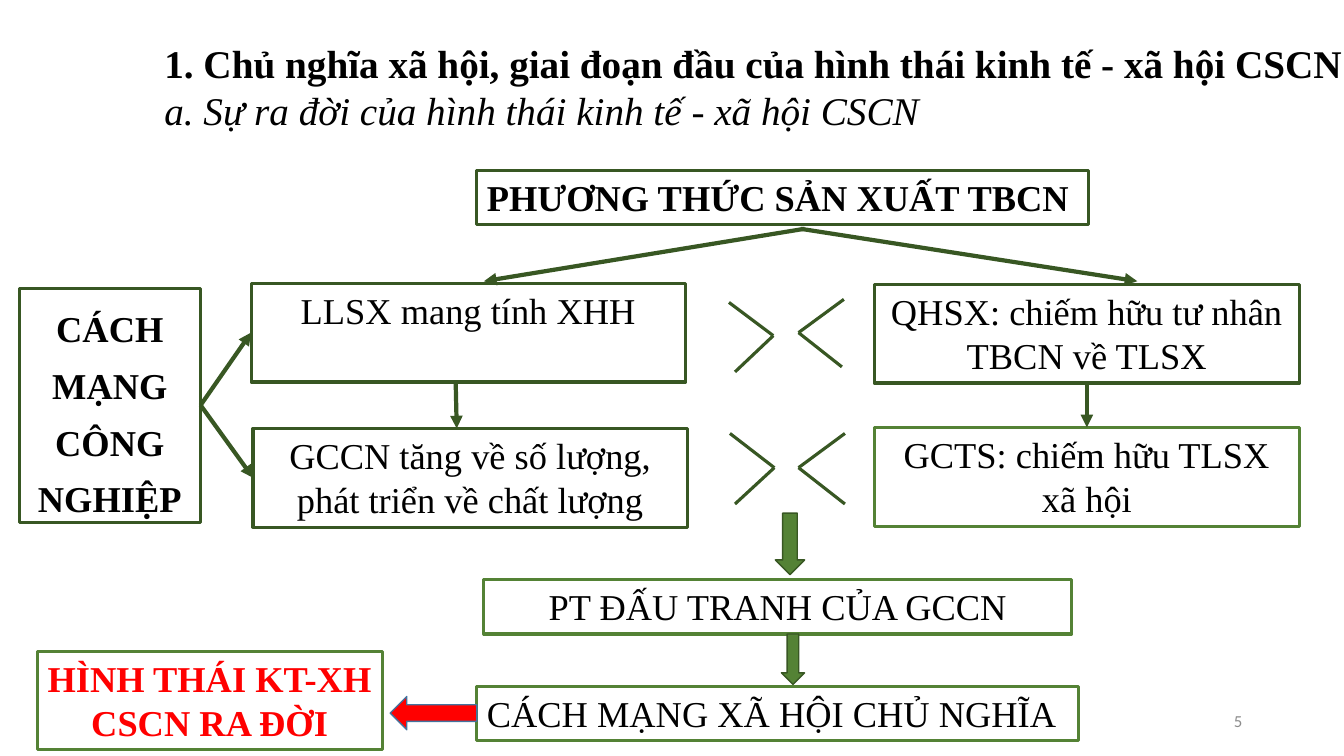
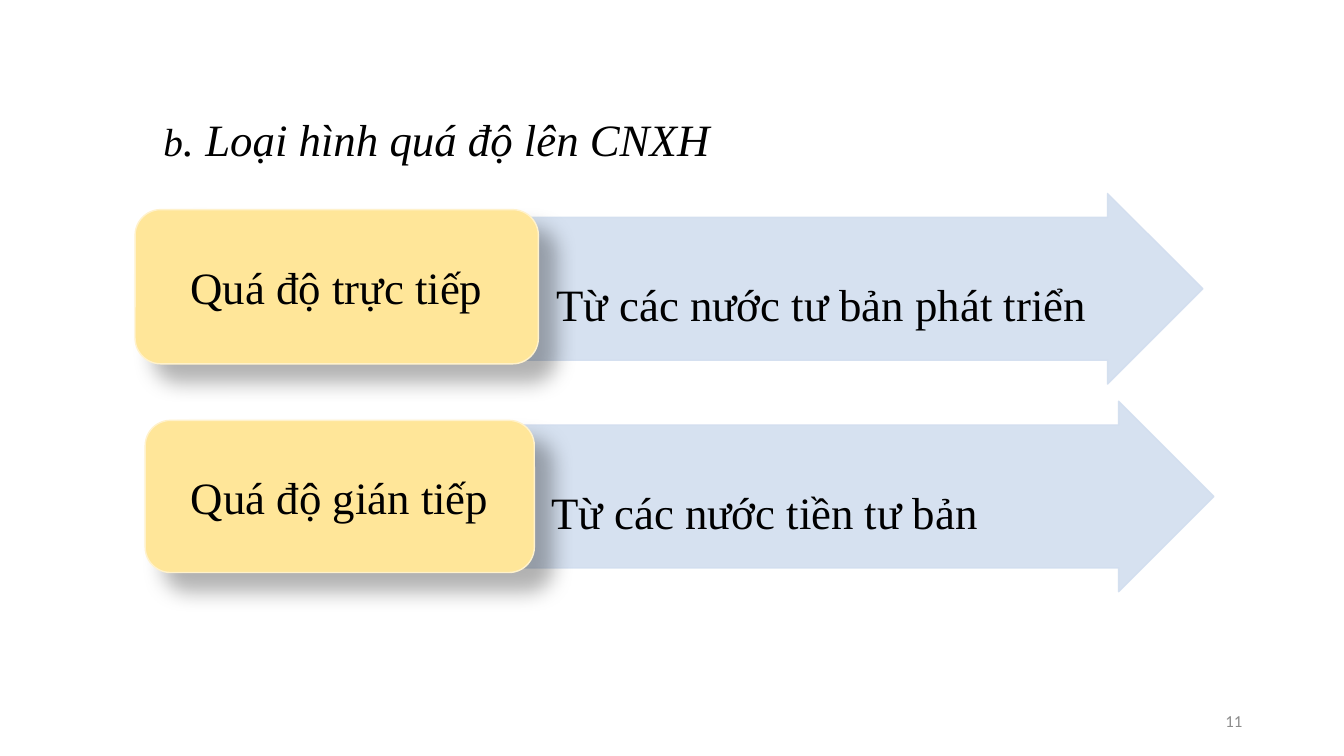
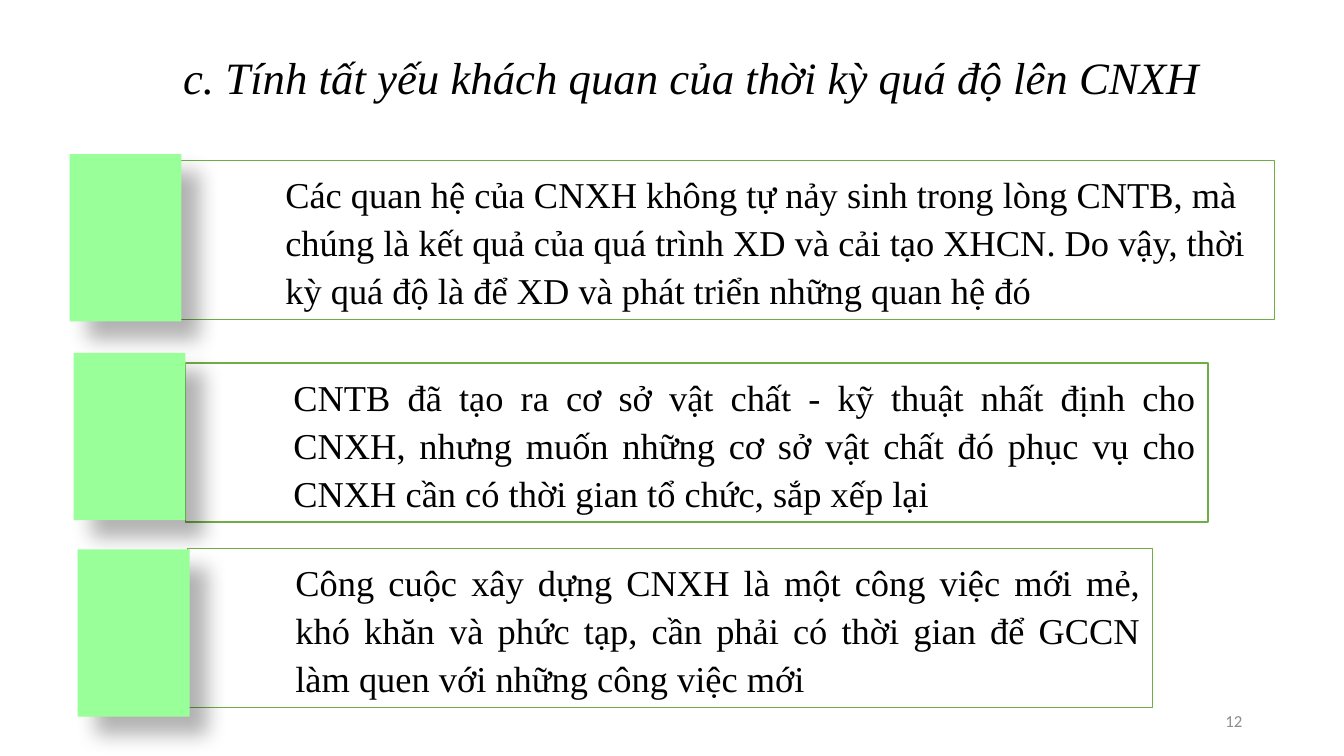
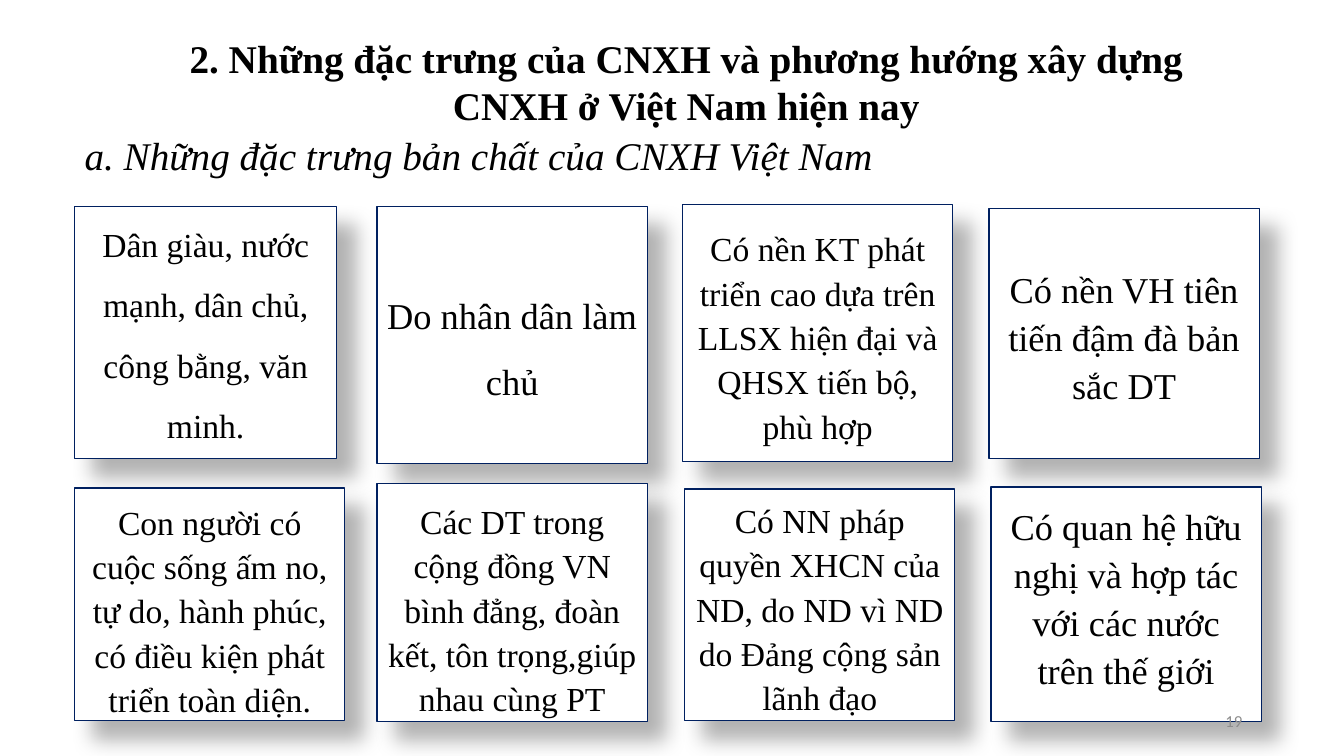
from dataclasses import dataclass, replace
from typing import NamedTuple, Optional

from lxml import etree
from pptx import Presentation
from pptx.dml.color import RGBColor
from pptx.enum.shapes import MSO_CONNECTOR, MSO_SHAPE
from pptx.enum.text import MSO_ANCHOR, MSO_AUTO_SIZE, PP_ALIGN
from pptx.oxml.ns import qn
from pptx.util import Emu, Pt

# Enum members
LEFT, CENTER, RIGHT, JUSTIFY = PP_ALIGN.LEFT, PP_ALIGN.CENTER, PP_ALIGN.RIGHT, PP_ALIGN.JUSTIFY
TOP, MIDDLE = MSO_ANCHOR.TOP, MSO_ANCHOR.MIDDLE
RECTANGLE, ROUNDED = MSO_SHAPE.RECTANGLE, MSO_SHAPE.ROUNDED_RECTANGLE
DOWN_ARROW, LEFT_ARROW, RIGHT_ARROW = (
    MSO_SHAPE.DOWN_ARROW, MSO_SHAPE.LEFT_ARROW, MSO_SHAPE.RIGHT_ARROW)
STRAIGHT = MSO_CONNECTOR.STRAIGHT
NO_AUTOFIT = MSO_AUTO_SIZE.NONE

# Scale: 100 px to the inch
EMU_PER_PX = 9144
SLIDE_SIZE = (1333, 750)
TITLE_ONLY = 5

# Colours
BLACK, WHITE, RED, GREY = "000000", "FFFFFF", "FF0000", "8C8C8C"
DARK_GREEN, GREEN = "385723", "548235"
STEEL_BLUE, PALE_BLUE, NAVY = "43739E", "D2DEEF", "002060"
YELLOW, CREAM = "FFE699", "FFF2CC"
MINT, LEAF = "99FF99", "70AD47"


class Box(NamedTuple):
    left: int
    top: int
    width: int
    height: int


class Margins(NamedTuple):
    left: int = 10
    top: int = 5
    right: int = 10
    bottom: int = 5


class Point(NamedTuple):
    x: int
    y: int


@dataclass(frozen=True)
class TextStyle:
    size: int
    bold: bool = False
    italic: bool = False
    align: PP_ALIGN = CENTER
    spacing: float = 1.0
    color: str = BLACK
    font: str = "Times New Roman"


@dataclass(frozen=True)
class ShapeStyle:
    fill: str
    line: Optional[str] = None
    line_width: float = 1
    shadow: bool = False
    alpha: int = 100


@dataclass(frozen=True)
class Label:
    box: Box
    text: str
    style: TextStyle
    line: str = DARK_GREEN


@dataclass(frozen=True)
class Transition:
    arrow: Box
    arrow_text: str
    tag: Box
    tag_text: str


@dataclass(frozen=True)
class Reason:
    panel: Box
    square: Box
    text: str
    align: PP_ALIGN = JUSTIFY


@dataclass(frozen=True)
class Card:
    box: Box
    text: str
    size: int = 24
    spacing: float = 1.1
    shift: int = 0  # how far the text sits below the middle


# Shared text styles
HEADING = TextStyle(28, bold=True, align=LEFT)
SUBHEADING = TextStyle(28, italic=True, align=LEFT)
LARGE_SUBHEADING = replace(SUBHEADING, size=32)
BODY = TextStyle(26)
STRONG = replace(BODY, bold=True)
LARGE = TextStyle(32)
PAGE_NUMBER = TextStyle(12, align=RIGHT, color=GREY, font="Calibri")


# Helpers
def px(value: int) -> Emu:
    return Emu(value * EMU_PER_PX)


def rgb(color: str) -> RGBColor:
    return RGBColor.from_string(color)


def format_paragraph(paragraph, style: TextStyle) -> None:
    paragraph.alignment = style.align
    paragraph.line_spacing = style.spacing
    paragraph.space_before = Pt(0)
    font = paragraph.font
    font.name, font.size = style.font, Pt(style.size)
    font.bold, font.italic = style.bold, style.italic
    font.color.rgb = rgb(style.color)


def write_text(shape, lines: list[tuple[str, TextStyle]], anchor=MIDDLE,
               margins: Margins = Margins()) -> None:
    frame = shape.text_frame
    frame.word_wrap = True
    frame.auto_size = NO_AUTOFIT
    frame.vertical_anchor = anchor
    frame.margin_left, frame.margin_top = px(margins.left), px(margins.top)
    frame.margin_right, frame.margin_bottom = px(margins.right), px(margins.bottom)
    for index, (text, style) in enumerate(lines):
        paragraph = frame.add_paragraph() if index else frame.paragraphs[0]
        paragraph.text = text
        format_paragraph(paragraph, style)


def add_title(slide, box: Box, lines: list[tuple[str, TextStyle]]):
    title = slide.shapes.title
    title.left, title.top, title.width, title.height = map(px, box)
    write_text(title, lines)
    return title


def add_text(slide, box: Box, text: str, style: TextStyle) -> None:
    write_text(slide.shapes.add_textbox(*map(px, box)), [(text, style)])


def add_page_number(slide, number: int) -> None:
    add_text(slide, Box(942, 695, 300, 40), str(number), PAGE_NUMBER)


def add_shadow(shape) -> None:
    effects = shape.element.spPr.find(qn("a:effectLst"))
    shadow = etree.SubElement(effects, qn("a:outerShdw"), blurRad=str(Pt(15)),
                              dist=str(Pt(18)), dir="2700000", rotWithShape="0")
    color = etree.SubElement(shadow, qn("a:srgbClr"), val=BLACK)
    etree.SubElement(color, qn("a:alpha"), val="30000")


def add_shape(slide, kind, box: Box, style: ShapeStyle):
    shape = slide.shapes.add_shape(kind, *map(px, box))
    shape.shadow.inherit = False
    shape.fill.solid()
    shape.fill.fore_color.rgb = rgb(style.fill)
    if style.line:
        shape.line.color.rgb = rgb(style.line)
        shape.line.width = Pt(style.line_width)
    else:
        shape.line.fill.background()
    if style.shadow:
        add_shadow(shape)
    if style.alpha < 100:
        for color in shape.element.spPr.iter(qn("a:srgbClr")):
            etree.SubElement(color, qn("a:alpha"), val=str(style.alpha * 1000))
    return shape


def add_line(slide, start: Point, end: Point, width: float = 2.25, arrow: bool = False):
    line = slide.shapes.add_connector(STRAIGHT, *map(px, (*start, *end)))
    line.line.color.rgb = rgb(DARK_GREEN)
    line.line.width = Pt(width)
    if arrow:
        etree.SubElement(line.line._get_or_add_ln(), qn("a:tailEnd"), type="triangle")
    etree.SubElement(line.element.spPr, qn("a:effectLst"))
    return line


def join(slide, source, source_side: int, target, target_side: int) -> None:
    line = add_line(slide, Point(0, 0), Point(0, 0), 3, arrow=True)
    line.begin_connect(source, source_side)
    line.end_connect(target, target_side)


# Slide 1: how the formation came about
def build_origin(slide) -> None:
    add_title(slide, Box(153, 31, 1246, 110), [
        ("1. Chủ nghĩa xã hội, giai đoạn đầu của hình thái kinh tế - xã hội CSCN", HEADING),
        ("a. Sự ra đời của hình thái kinh tế - xã hội CSCN", SUBHEADING),
    ])
    labels = {
        "mode": Label(Box(473, 169, 607, 54), "PHƯƠNG THỨC SẢN XUẤT TBCN",
                      replace(STRONG, align=LEFT)),
        "industry": Label(Box(19, 286, 180, 232), "CÁCH MẠNG CÔNG NGHIỆP",
                          replace(STRONG, spacing=1.3)),
        "forces": Label(Box(249, 281, 431, 98), "LLSX mang tính XHH", BODY),
        "relations": Label(Box(867, 282, 422, 98),
                           "QHSX: chiếm hữu tư nhân TBCN về TLSX", BODY),
        "workers": Label(Box(251, 425, 431, 98),
                         "GCCN tăng về số lượng, phát triển về chất lượng", BODY),
        "owners": Label(Box(867, 424, 422, 98), "GCTS: chiếm hữu TLSX xã hội", BODY, GREEN),
        "revolution": Label(Box(473, 681, 597, 54), "CÁCH MẠNG XÃ HỘI CHỦ NGHĨA",
                            replace(BODY, align=LEFT), GREEN),
        "struggle": Label(Box(480, 575, 583, 54), "PT ĐẤU TRANH CỦA GCCN", BODY, GREEN),
        "formation": Label(Box(37, 646, 342, 98), "HÌNH THÁI KT-XH CSCN RA ĐỜI",
                           replace(STRONG, color=RED), GREEN),
    }
    shapes = {}
    for name, label in labels.items():
        shape = add_shape(slide, RECTANGLE, label.box, ShapeStyle(WHITE, label.line, 2.25))
        write_text(shape, [(label.text, label.style)], TOP)
        shapes[name] = shape

    # Thin arrows
    for start, end in (
        (Point(798, 227), Point(480, 279)),
        (Point(794, 227), Point(1128, 279)),
        (Point(452, 380), Point(453, 425)),
    ):
        add_line(slide, start, end, 3, arrow=True)
    join(slide, shapes["relations"], 2, shapes["owners"], 0)
    for name in ("forces", "workers"):
        join(slide, shapes["industry"], 3, shapes[name], 1)

    # Pairs of opposed chevrons
    for upper, tip, lower in (
        (Point(723, 300), Point(767, 333), Point(729, 369)),
        (Point(837, 297), Point(792, 330), Point(835, 364)),
        (Point(724, 430), Point(768, 464), Point(729, 500)),
        (Point(838, 430), Point(792, 464), Point(838, 500)),
    ):
        add_line(slide, upper, tip)
        add_line(slide, tip, lower)

    # Block arrows
    green_arrow = ShapeStyle(GREEN, DARK_GREEN)
    add_shape(slide, DOWN_ARROW, Box(769, 509, 29, 61), green_arrow)
    add_shape(slide, DOWN_ARROW, Box(775, 629, 23, 50), green_arrow)
    add_shape(slide, LEFT_ARROW, Box(387, 691, 86, 33), ShapeStyle(RED, STEEL_BLUE))


# Slide 2: kinds of transition
def build_transitions(slide) -> None:
    title = add_title(slide, Box(152, 100, 1150, 74), [("b", LARGE_SUBHEADING)])
    paragraph = title.text_frame.paragraphs[0]
    paragraph.runs[0].font.size = Pt(28)
    paragraph.add_run().text = ". Loại hình quá độ lên CNXH"

    arrow_style = ShapeStyle(PALE_BLUE, PALE_BLUE, alpha=90)
    tag_style = ShapeStyle(YELLOW, CREAM, shadow=True)
    for transition in (
        Transition(Box(519, 192, 674, 189), "Từ các nước tư bản phát triển",
                   Box(134, 208, 400, 153), "Quá độ trực tiếp"),
        Transition(Box(514, 398, 690, 189), "Từ các nước tiền tư bản",
                   Box(144, 417, 386, 151), "Quá độ gián tiếp"),
    ):
        arrow = add_shape(slide, RIGHT_ARROW, transition.arrow, arrow_style)
        arrow.adjustments[0] = 0.75
        write_text(arrow, [(transition.arrow_text, replace(LARGE, align=LEFT))],
                   margins=Margins(33, 30, 2, 0))
        tag = add_shape(slide, ROUNDED, transition.tag, tag_style)
        write_text(tag, [(transition.tag_text, LARGE)])


# Slide 3: why the transition is necessary
def build_reasons(slide) -> None:
    add_title(slide, Box(111, 38, 1150, 75), [
        ("c. Tính tất yếu khách quan của thời kỳ quá độ lên CNXH",
         replace(LARGE_SUBHEADING, align=CENTER)),
    ])
    for reason in (
        Reason(Box(176, 159, 1088, 158), Box(69, 153, 111, 166),
               "Các quan hệ của CNXH không tự nảy sinh trong lòng CNTB, mà chúng là kết quả "
               "của quá trình XD và cải tạo XHCN. Do vậy, thời kỳ quá độ là để XD và phát "
               "triển những quan hệ đó", LEFT),
        Reason(Box(184, 360, 1014, 158), Box(73, 350, 111, 166),
               "CNTB đã tạo ra cơ sở vật chất - kỹ thuật nhất định cho CNXH, nhưng muốn "
               "những cơ sở vật chất đó phục vụ cho CNXH cần có thời gian tổ chức, sắp xếp lại"),
        Reason(Box(186, 544, 957, 158), Box(77, 545, 111, 166),
               "Công cuộc xây dựng CNXH là một công việc mới mẻ, khó khăn và phức tạp, cần "
               "phải có thời gian để GCCN làm quen với những công việc mới"),
    ):
        panel = add_shape(slide, RECTANGLE, reason.panel, ShapeStyle(WHITE, LEAF))
        write_text(panel, [(reason.text, replace(BODY, align=reason.align, spacing=1.1))],
                   margins=Margins(107, 11, 11, 11))
        add_shape(slide, RECTANGLE, reason.square, ShapeStyle(MINT, shadow=True))


# Slide 4: eight features
def build_features(slide) -> None:
    add_title(slide, Box(122, 2, 1117, 158), [
        ("2. Những đặc trưng của CNXH và phương hướng xây dựng CNXH ở Việt Nam hiện nay",
         replace(HEADING, align=CENTER)),
    ])
    add_text(slide, Box(74, 129, 1150, 50),
             "a. Những đặc trưng bản chất của CNXH Việt Nam", SUBHEADING)
    for card in (
        Card(Box(74, 205, 260, 250), "Dân giàu, nước mạnh, dân chủ, công bằng, văn minh.",
             spacing=1.5, shift=-8),
        Card(Box(374, 205, 268, 255), "Do nhân dân làm chủ", 26, 1.5, 2),
        Card(Box(677, 203, 268, 255),
             "Có nền KT phát triển cao dựa trên LLSX hiện đại và QHSX tiến bộ, phù hợp", shift=2),
        Card(Box(981, 207, 268, 248), "Có nền VH tiên tiến đậm đà bản sắc DT", 26, shift=1),
        Card(Box(74, 484, 268, 231),
             "Con người có cuộc sống ấm no, tự do, hành phúc, có điều kiện phát triển "
             "toàn diện.", shift=4),
        Card(Box(374, 480, 268, 236),
             "Các DT trong cộng đồng VN bình đẳng, đoàn kết, tôn trọng,giúp nhau cùng PT",
             shift=5),
        Card(Box(679, 485, 268, 230),
             "Có NN pháp quyền XHCN của ND, do ND vì ND do Đảng cộng sản lãnh đạo", shift=2),
        Card(Box(983, 483, 268, 233),
             "Có quan hệ hữu nghị và hợp tác với các nước trên thế giới", 26, shift=-8),
    ):
        shape = add_shape(slide, RECTANGLE, card.box, ShapeStyle(WHITE, NAVY, shadow=True))
        margins = Margins(top=max(2 * card.shift, 0), bottom=max(-2 * card.shift, 0))
        write_text(shape, [(card.text, TextStyle(card.size, spacing=card.spacing))],
                   margins=margins)


def main() -> None:
    presentation = Presentation()
    presentation.slide_width, presentation.slide_height = map(px, SLIDE_SIZE)
    for build, number in (
        (build_origin, 5),
        (build_transitions, 11),
        (build_reasons, 12),
        (build_features, 19),
    ):
        slide = presentation.slides.add_slide(presentation.slide_layouts[TITLE_ONLY])
        build(slide)
        add_page_number(slide, number)
    presentation.save("out.pptx")


if __name__ == "__main__":
    main()
